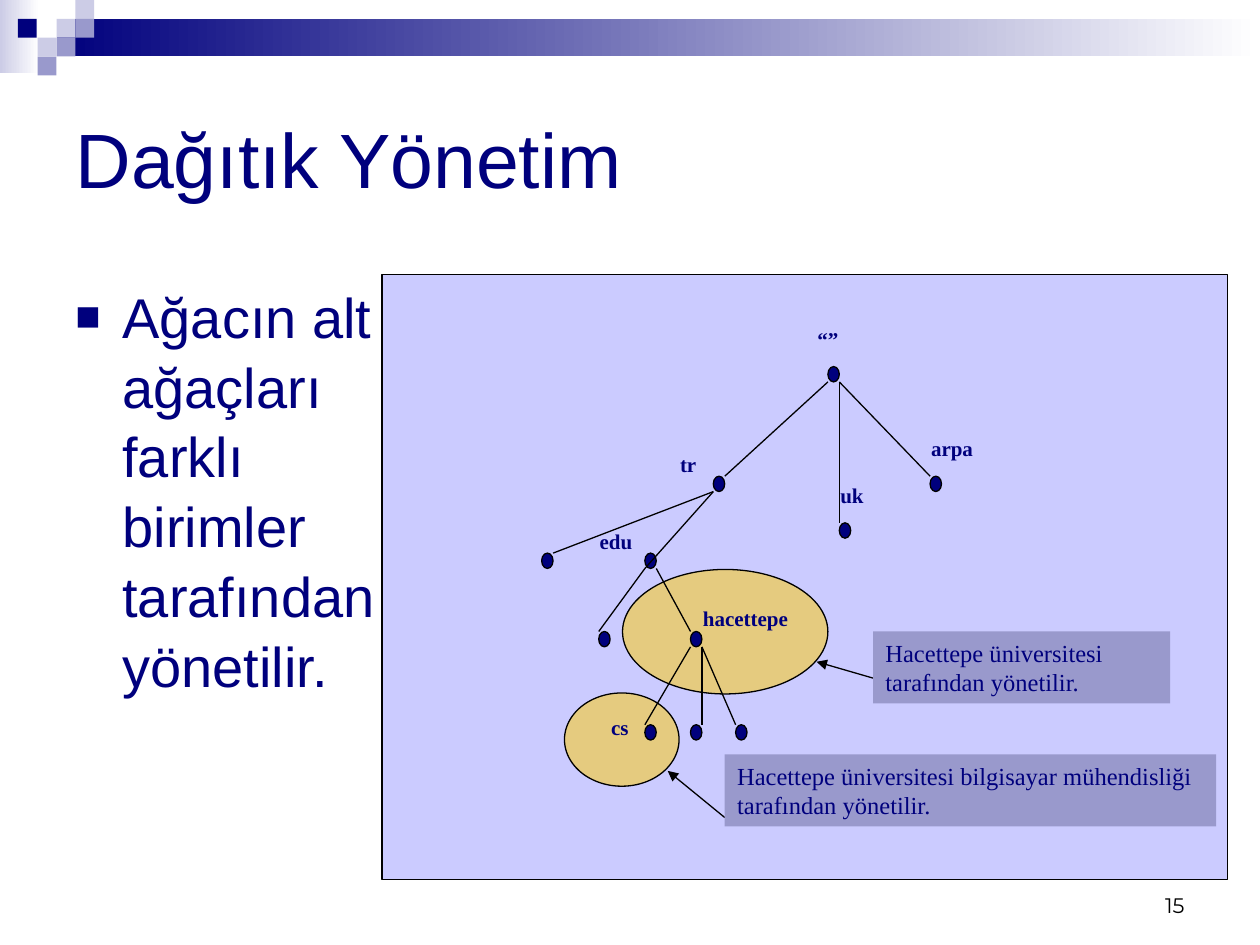
from lxml.etree import SubElement
from pptx import Presentation
from pptx.dml.color import RGBColor as RGB
from pptx.enum.shapes import MSO_CONNECTOR as CONN, MSO_SHAPE as SHAPE
from pptx.enum.text import MSO_ANCHOR as ANCHOR, MSO_AUTO_SIZE as AUTO, PP_ALIGN as ALIGN
from pptx.oxml.ns import qn
from pptx.util import Cm, Pt


class Theme:
    navy = RGB.from_string("00007D")
    lilac = RGB.from_string("9999CC")
    pale = RGB.from_string("CCCCE6")
    panel = RGB.from_string("9999FF")
    gold = RGB.from_string("FFCC00")
    black = RGB.from_string("000000")
    white = RGB.from_string("FFFFFF")
    hairline = Pt(0.75)
    title = dict(name="Arial", size=Pt(44), bold=False, color=navy)
    body = dict(name="Arial", size=Pt(32), color=navy)
    label = dict(name="Times New Roman", size=Pt(12), bold=True, color=navy)
    note = dict(name="Times New Roman", size=Pt(14), bold=False, color=navy)
    number = dict(name="Montserrat", size=Pt(12), color=black)


def write(sp, text, font, align=ALIGN.LEFT, anchor=ANCHOR.TOP):
    """Put one formatted paragraph into a shape and return it."""
    tf = sp.text_frame
    frame = dict(word_wrap=True, auto_size=AUTO.NONE, vertical_anchor=anchor)
    for key, value in frame.items():
        setattr(tf, key, value)
    p = tf.paragraphs[0]
    p.alignment = align
    r = p.add_run()
    r.text = text
    for key, value in font.items():
        if key == "color":
            r.font.color.rgb = value
        else:
            setattr(r.font, key, value)
    return p


def add_block(kind, box, fill, outlined=False, opacity=None):
    """Add a flat preset shape; a list of two fill colours makes a gradient."""
    sp = s.shapes.add_shape(kind, *map(Cm, box))
    sp.shadow.inherit = False
    if isinstance(fill, list):
        sp.fill.gradient()
        sp.fill.gradient_angle = 0
        for stop, color in zip(sp.fill.gradient_stops, fill):
            stop.color.rgb = color
    else:
        sp.fill.solid()
        sp.fill.fore_color.rgb = fill
    if opacity:
        color = sp._element.spPr.find(qn("a:solidFill"))[0]
        SubElement(color, qn("a:alpha"), val=str(opacity * 1000))
    if outlined:
        sp.line.color.rgb = Theme.black
        sp.line.width = Theme.hairline
    else:
        sp.line.fill.background()
    return sp


prs = Presentation()
prs.slide_width, prs.slide_height = Cm(25.4), Cm(19.05)
s = prs.slides.add_slide(prs.slide_layouts[5])

# Header band and its squares, placed by column position and row
add_block(SHAPE.RECTANGLE, (0, 0, 0.79, 1.47), [Theme.pale, Theme.white])
add_block(SHAPE.RECTANGLE, (1.14, 0.38, 24.26, 0.76), [Theme.navy, Theme.white])
SQUARE = 0.38
squares = [
    (1.14, 1, Theme.pale), (1.52, 0, Theme.pale), (1.52, 1, Theme.lilac),
    (0.76, 2, Theme.pale), (0.36, 1, Theme.navy), (1.14, 2, Theme.lilac),
    (0.76, 3, Theme.lilac),
]
for x, row, color in squares:
    add_block(SHAPE.RECTANGLE, (x, row * SQUARE, SQUARE, SQUARE), color)

# Title, body and page number
title = s.shapes.title
place = dict(left=Cm(1.27), top=Cm(1.27), width=Cm(22.86), height=Cm(3.81))
for key, value in place.items():
    setattr(title, key, value)
write(title, "Dağıtık Yönetim", Theme.title, anchor=ANCHOR.MIDDLE)

body = s.shapes.add_textbox(Cm(1.27), Cm(5.51), Cm(6.83), Cm(10.8))
p = write(body, "Ağacın alt ağaçları farklı birimler tarafından yönetilir.", Theme.body)
p.line_spacing = 1.04
pPr = p._p.get_or_add_pPr()
pPr.set("marL", str(Cm(0.95)))
pPr.set("indent", str(-Cm(0.95)))
bullet_color = SubElement(pPr, qn("a:buClr"))
SubElement(bullet_color, qn("a:srgbClr"), val=str(Theme.navy))
SubElement(pPr, qn("a:buSzPct"), val="75000")
SubElement(pPr, qn("a:buFont"), typeface="Arial")
SubElement(pPr, qn("a:buChar"), char="■")

number = s.shapes.add_textbox(Cm(18.21), Cm(17.35), Cm(5.92), Cm(1.27))
write(number, "15", Theme.number, ALIGN.RIGHT, ANCHOR.BOTTOM)

# Panel and the two administrative zones
add_block(SHAPE.RECTANGLE, (7.7, 5.54, 17.04, 12.19), Theme.panel, True, 50)
for zone in [(11.38, 13.97, 2.31, 1.88), (12.55, 11.48, 4.14, 2.51)]:
    add_block(SHAPE.OVAL, zone, Theme.gold, True, 50)

# Tree nodes: left and top of each dot
DOT_W, DOT_H = 0.23, 0.31
nodes = {
    "root": (16.69, 7.39), "tr": (14.38, 9.6), "arpa": (18.75, 9.6),
    "uk": (16.92, 10.54), "tr_other": (10.92, 11.15), "edu": (13, 11.15),
    "edu_other": (12.07, 12.73), "hacettepe": (13.92, 12.73),
    "cs": (13, 14.61), "dept_2": (13.92, 14.61), "dept_3": (14.83, 14.61),
}
for x, y in nodes.values():
    add_block(SHAPE.OVAL, (x, y, DOT_W, DOT_H), Theme.navy, True)

# Edges: parent and its bottom corner, child and its corner (0 left/top, 1 right/bottom)
edges = [
    ("root", 0, "tr", 1, 0), ("root", 1, "arpa", 0, 0), ("root", 1, "uk", 0, 0),
    ("tr", 0, "tr_other", 1, 0), ("tr", 0, "edu", 0, 1),
    ("edu", 0, "edu_other", 0, 0), ("edu", 1, "hacettepe", 0, 0),
    ("hacettepe", 0, "cs", 0, 0), ("hacettepe", 1, "dept_2", 1, 0),
    ("hacettepe", 1, "dept_3", 0, 0),
]
lines = []
for parent, side, child, child_side, child_end in edges:
    (x1, y1), (x2, y2) = nodes[parent], nodes[child]
    lines.append((x1 + side * DOT_W, y1 + DOT_H,
                  x2 + child_side * DOT_W, y2 + child_end * DOT_H, False))
lines += [(17.6, 13.67, 16.46, 13.34, True), (14.61, 16.48, 13.46, 15.54, True)]
for *ends, arrow in lines:
    line = s.shapes.add_connector(CONN.STRAIGHT, *map(Cm, ends))
    line.line.color.rgb = Theme.black
    line.line.width = Theme.hairline
    spPr = line._element.spPr
    if arrow:
        SubElement(spPr.find(qn("a:ln")), qn("a:tailEnd"), type="triangle")
    SubElement(spPr, qn("a:effectLst"))

# Node names and notes
labels = [
    ("“”", 16.23, 6.45, 1.37), ("arpa", 18.52, 8.66, 3), ("tr", 13.46, 8.97, 1.85),
    ("edu", 11.84, 10.54, 3.23), ("hacettepe", 13.92, 12.09, 2.77),
    ("uk", 16.69, 9.6, 3), ("cs", 12.07, 14.27, 3.23),
]
for text, x, y, width in labels:
    write(s.shapes.add_textbox(Cm(x), Cm(y), Cm(width), Cm(0.76)), text, Theme.label)

notes = [
    ("Hacettepe üniversitesi tarafından yönetilir.", 17.6, 12.73, 5.99),
    ("Hacettepe üniversitesi bilgisayar mühendisliği tarafından yönetilir.",
     14.61, 15.21, 9.91),
]
for text, x, y, width in notes:
    write(add_block(SHAPE.RECTANGLE, (x, y, width, 1.45), Theme.lilac), text, Theme.note)

prs.save("out.pptx")
